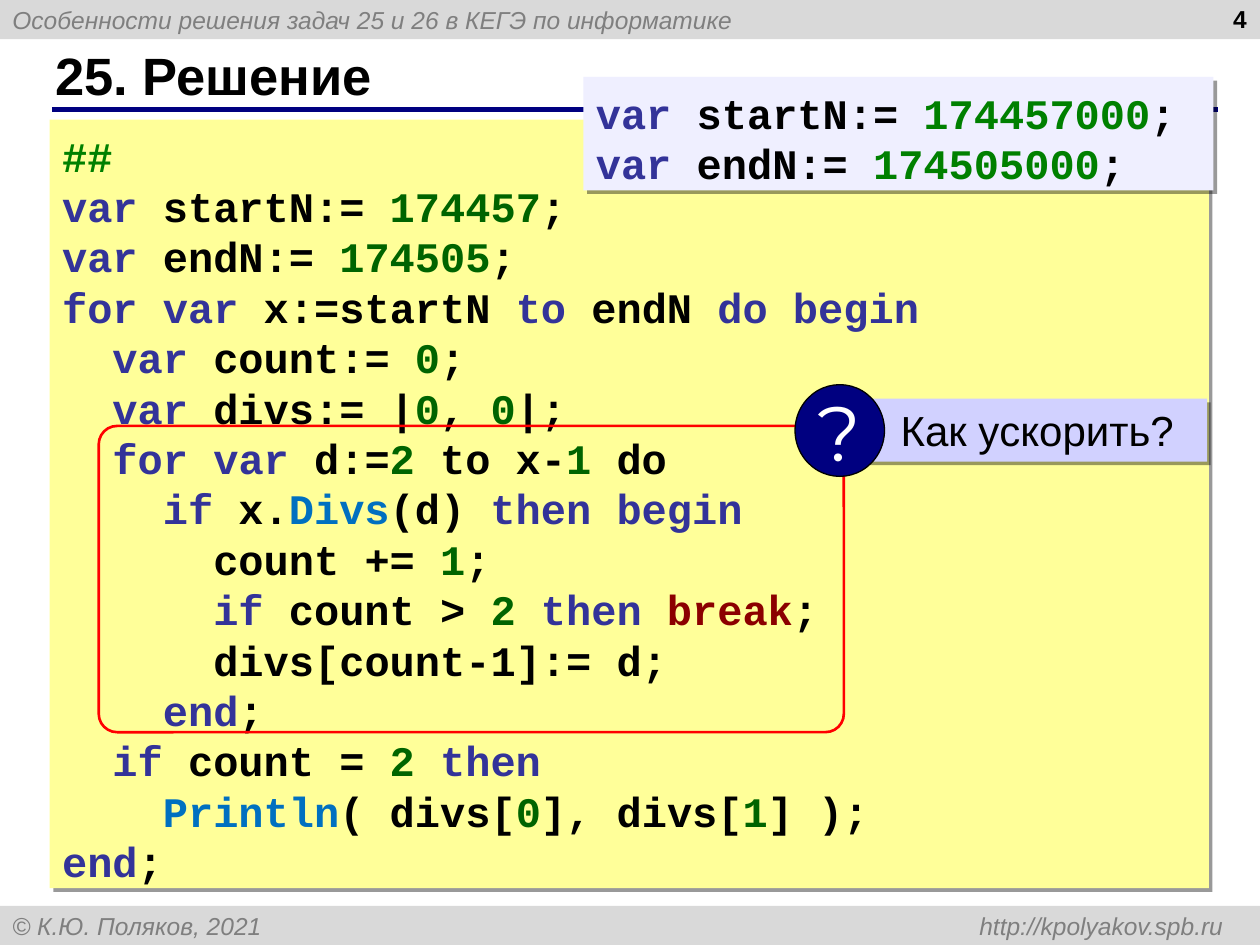
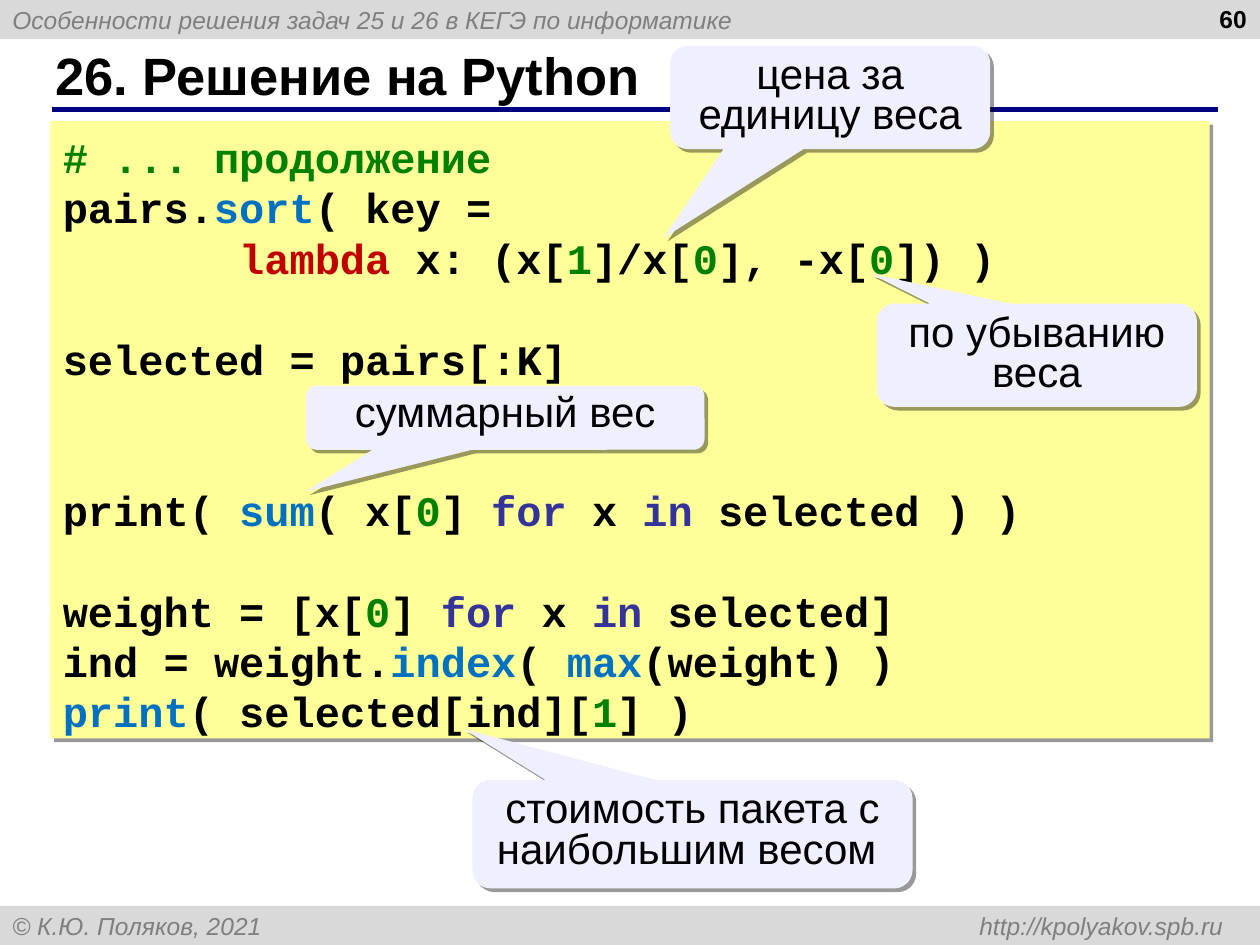
import pptx
import pptx.util
import pptx.dml.color
import pptx.enum.shapes
import pptx.enum.text
import lxml.etree
from dataclasses import dataclass

Pt = pptx.util.Pt
Shape = pptx.enum.shapes.MSO_SHAPE
Align = pptx.enum.text.PP_ALIGN
Anchor = pptx.enum.text.MSO_ANCHOR
rgb = pptx.dml.color.RGBColor.from_string
DRAWING = "{http://schemas.openxmlformats.org/drawingml/2006/main}"


@dataclass(frozen=True)
class Theme:
    ink: str = "000000"
    band: str = "D9D9D9"
    muted: str = "7F7F7F"
    navy: str = "000080"
    code_fill: str = "FFFF99"
    note_fill: str = "EFEFFF"
    question_fill: str = "D1D1FF"
    white: str = "FFFFFF"
    red: str = "FF0000"
    sans: str = "Arial"
    mono: str = "Courier New"
    badge: str = "Montserrat"
    title_size: int = 30
    body_size: int = 24
    band_size: int = 14
    badge_size: int = 44
    code_pitch: float = 28.8
    code_advance: float = 14.4


theme = Theme()
code_colors = {
    "": theme.ink, "key": "333399", "num": "006400", "green": "008000",
    "call": "0070C0", "break": "8B0000", "lambda": "C00000",
}


def add_box(page, kind, at, fill=None, line=None, width=0.75, shadow=False, adjust=()):
    box = page.shapes.add_shape(kind, *map(Pt, at))
    box.shadow.inherit = False
    for index, value in enumerate(adjust):
        box.adjustments[index] = value
    if fill:
        box.fill.solid()
        box.fill.fore_color.rgb = rgb(fill)
    else:
        box.fill.background()
    if line:
        box.line.color.rgb = rgb(line)
        box.line.width = Pt(width)
    else:
        box.line.fill.background()
    if shadow:
        effects = box._element.spPr.find(DRAWING + "effectLst")
        outer = lxml.etree.SubElement(effects, DRAWING + "outerShdw", blurRad="0",
                                      dist=str(Pt(3)), dir="2700000", algn="ctr", rotWithShape="0")
        tint = lxml.etree.SubElement(outer, DRAWING + "srgbClr", val=theme.ink)
        lxml.etree.SubElement(tint, DRAWING + "alpha", val="40000")
    return box


def write(box, text, size=theme.body_size, font=theme.sans, color=theme.ink, bold=False,
          italic=False, align=Align.LEFT, anchor=Anchor.TOP, spacing=None, wrap=True,
          left=7.2, top=3.6, right_tab=None, code=False):
    frame = box.text_frame
    frame.word_wrap = wrap
    frame.vertical_anchor = anchor
    frame.margin_left, frame.margin_right = Pt(left), Pt(7.2)
    frame.margin_top, frame.margin_bottom = Pt(top), Pt(3.6)
    para, blanks = None, 0
    for row in text.split("\n"):
        if not row:
            blanks += 1
            continue
        para = frame.add_paragraph() if para else frame.paragraphs[0]
        para.alignment = align
        if spacing:
            para.line_spacing = spacing
        properties = para._p.get_or_add_pPr()
        if code:
            indent = len(row) - len(row.lstrip())
            properties.set("marL", str(Pt(indent * theme.code_advance)))
            properties.set("indent", "0")
            para.space_before = Pt(blanks * theme.code_pitch)
            pieces = [piece.split(">", 1) for piece in ("<>" + row.lstrip()).split("<")[1:]]
        else:
            pieces = [("", row)]
        if right_tab:
            tabs = lxml.etree.SubElement(properties, DRAWING + "tabLst")
            lxml.etree.SubElement(tabs, DRAWING + "tab", pos=str(Pt(right_tab)), algn="r")
        for style, words in pieces:
            if not words:
                continue
            span = para.add_run()
            span.text = words
            span.font.name = font
            span.font.size = Pt(size)
            span.font.bold = bold
            span.font.italic = italic
            span.font.color.rgb = rgb(code_colors[style] if code else color)
        blanks = 0


band_style = dict(size=theme.band_size, color=theme.muted, italic=True, anchor=Anchor.MIDDLE)
code_style = dict(font=theme.mono, bold=True, spacing=Pt(theme.code_pitch), top=6, code=True)

deck = pptx.Presentation()
deck.slide_width, deck.slide_height = Pt(720), Pt(540)

pages = []
for title, number in (("25. Решение", "4"), ("26. Решение на Python", "60")):
    page = deck.slides.add_slide(deck.slide_layouts[6])
    header = add_box(page, Shape.RECTANGLE, (0, 0, 720, 22.4), theme.band)
    write(header, "Особенности решения задач 25 и 26 в КЕГЭ по информатике", **band_style)
    footer = add_box(page, Shape.RECTANGLE, (0, 517.6, 720, 22.4), theme.band)
    write(footer, "© К.Ю. Поляков, 2021 \thttp://kpolyakov.spb.ru", right_tab=692, **band_style)
    rule = page.shapes.add_connector(pptx.enum.shapes.MSO_CONNECTOR.STRAIGHT,
                                     Pt(29.6), Pt(62.6), Pt(696.2), Pt(62.6))
    rule.line.color.rgb = rgb(theme.navy)
    rule.line.width = Pt(3)
    lxml.etree.SubElement(rule._element.spPr, DRAWING + "effectLst")
    heading = page.shapes.add_textbox(Pt(24.5), Pt(23.8), Pt(659.5), Pt(37.4))
    write(heading, title, size=theme.title_size, bold=True, anchor=Anchor.MIDDLE)
    page_number = page.shapes.add_textbox(Pt(551.5), Pt(-1.4), Pt(168), Pt(37.4))
    write(page_number, number, size=theme.band_size, bold=True, align=Align.RIGHT)
    pages.append(page)

pascal_page, python_page = pages

pascal_code = """<green>##
<key>var<> startN:= <num>174457<>;
<key>var<> endN:= <num>174505<>;
<key>for var<> x:=startN <key>to<> endN <key>do begin
  <key>var<> count:= <num>0<>;
  <key>var<> divs:= |<num>0<>, <num>0<>|;
  <key>for var <>d:=<num>2 <>to x-<num>1 <>do
    <key>if<> x.<call>Divs<>(d) <key>then begin
      count += <num>1<>;
      <key>if<> count > <num>2 <key>then <break>break<>;
      divs[count-1]:= d;
    <key>end<>;
  <key>if<> count = <num>2 <key>then
    <call>Println<>( divs[<num>0<>], divs[<num>1<>] );
<key>end<>;"""
pascal_box = add_box(pascal_page, Shape.RECTANGLE, (28.4, 68.4, 662.4, 439.2),
                     theme.code_fill, shadow=True)
write(pascal_box, pascal_code, **code_style)

bigger_range = """<key>var<> startN:= <green>174457000<>;
<key>var<> endN:= <green>174505000<>;"""
range_box = add_box(pascal_page, Shape.RECTANGLE, (333.4, 44, 360, 64.8),
                    theme.note_fill, shadow=True)
write(range_box, bigger_range, **code_style)

add_box(pascal_page, Shape.ROUNDED_RECTANGLE, (56.4, 243.4, 425.8, 175),
        line=theme.red, width=1.5, adjust=(0.06,))
question_box = add_box(pascal_page, Shape.RECTANGLE, (494, 227.8, 195.8, 36),
                       theme.question_fill, shadow=True)
write(question_box, "Как уcкорить?", left=20.6)
question_mark = add_box(pascal_page, Shape.OVAL, (454.3, 219.8, 51.1, 52.4),
                        theme.navy, line=theme.ink)
write(question_mark, "?", size=theme.badge_size, font=theme.badge, color=theme.white,
      align=Align.CENTER, anchor=Anchor.MIDDLE, wrap=False)

python_code = """<green># ... продолжение
pairs.<call>sort<>( key =
       <lambda>lambda<> x: (x[<green>1<>]/x[<green>0<>], -x[<green>0<>]) )

selected = pairs[:K]


print( <call>sum<>( x[<green>0<>] <key>for<> x <key>in<> selected ) )

weight = [x[<green>0<>] <key>for<> x <key>in<> selected]
ind = weight.<call>index<>( <call>max<>(weight) )
<call>print<>( selected[ind][<green>1<>] )"""
python_box = add_box(python_page, Shape.RECTANGLE, (28.8, 69.2, 662.4, 352.8),
                     theme.code_fill, shadow=True)
write(python_box, python_code, **code_style)

callouts = (
    ("цена за единицу веса", (383, 26.2, 182.9, 59), (-0.52, 1.36)),
    ("по убыванию веса", (501.1, 173.5, 182.9, 59), (-0.52, -0.79)),
    ("суммарный вес", (174.8, 220.3, 227.8, 36.7), (-0.5, 1.15)),
    ("стоимость пакета с наибольшим весом ", (270, 445.7, 251.5, 62), (-0.52, -0.97)),
)
for words, at, tip in callouts:
    callout = add_box(python_page, Shape.ROUNDED_RECTANGULAR_CALLOUT, at, theme.note_fill,
                      shadow=True, adjust=(*tip, 0.17))
    write(callout, words, align=Align.CENTER, spacing=0.8)

deck.save("out.pptx")
